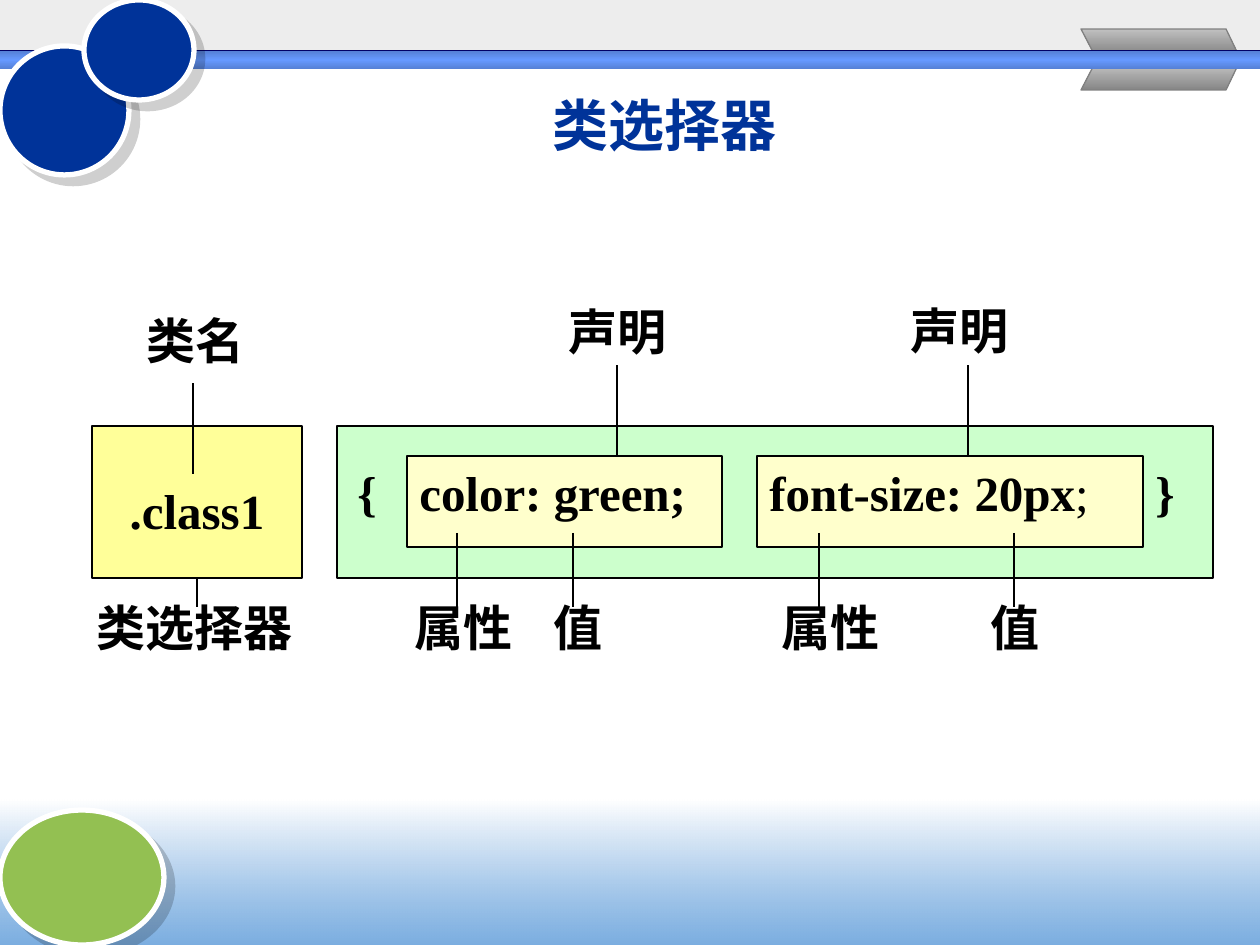
from dataclasses import dataclass
from typing import NamedTuple, Optional

from lxml.etree import SubElement
from pptx import Presentation
from pptx.dml.color import RGBColor
from pptx.enum.shapes import MSO_CONNECTOR as Connector, MSO_SHAPE as Preset
from pptx.enum.text import MSO_ANCHOR as Anchor, PP_ALIGN as Align
from pptx.oxml.ns import qn
from pptx.util import Emu, Pt

PX = 914400 / 126


@dataclass(frozen=True)
class Theme:
    black: str = "000000"
    white: str = "FFFFFF"
    navy: str = "003399"
    deep_navy: str = "000066"
    bar_edge: str = "5580D5"
    bar_middle: str = "6699FF"
    sky: str = "5E9CDA"
    leaf: str = "93C052"
    header: str = "EAEAEA"
    silver: str = "C0C0C0"
    grey: str = "868686"
    grey_line: str = "808080"
    selector: str = "FFFF99"
    block: str = "CCFFCC"
    declaration: str = "FFFFCC"
    title_font: str = "Arial"
    body_font: str = "Times New Roman"
    title_size: int = 32
    body_size: int = 28
    thin: float = 0.75
    thick: int = 3


THEME = Theme()


class Area(NamedTuple):
    left: int
    top: int
    width: int
    height: int


class Stop(NamedTuple):
    percent: int
    color: str
    alpha: int = 100


class Label(NamedTuple):
    text: str
    area: Area


class Segment(NamedTuple):
    x: int
    start: int
    end: int


def px(value: float) -> Emu:
    return Emu(round(value * PX))


def emu_area(area: Area) -> list[Emu]:
    return [px(value) for value in area]


def set_line(shape, color: Optional[str], width: float = THEME.thin) -> None:
    if color is None:
        shape.line.fill.background()
    else:
        shape.line.color.rgb = RGBColor.from_string(color)
        shape.line.width = Pt(width)


def set_alpha(color_element, percent: int) -> None:
    SubElement(color_element, qn("a:alpha")).set("val", str(percent * 1000))


def set_gradient(shape, stops: list[Stop]) -> None:
    shape.fill.gradient()
    shape.fill.gradient_angle = 270
    stop_list = shape._element.spPr.find(".//" + qn("a:gsLst"))
    stop_list.clear()
    for stop in stops:
        entry = SubElement(stop_list, qn("a:gs"), pos=str(stop.percent * 1000))
        color = SubElement(entry, qn("a:srgbClr"), val=stop.color)
        if stop.alpha < 100:
            set_alpha(color, stop.alpha)


def add_preset(page, preset, area: Area, fill: Optional[str] = None,
               line: Optional[str] = None, width: float = THEME.thin):
    shape = page.shapes.add_shape(preset, *emu_area(area))
    shape.shadow.inherit = False
    if fill:
        shape.fill.solid()
        shape.fill.fore_color.rgb = RGBColor.from_string(fill)
    set_line(shape, line, width)
    return shape


def add_disc(page, area: Area, fill: str) -> None:
    disc = add_preset(page, Preset.OVAL, area, fill, THEME.white, THEME.thick)
    effects = disc._element.spPr.find(qn("a:effectLst"))
    shadow = SubElement(effects, qn("a:outerShdw"), blurRad="0",
                        dist=str(Pt(7.1)), dir="2700000", algn="ctr")
    set_alpha(SubElement(shadow, qn("a:srgbClr"), val=THEME.black), 19)


def add_ribbon_half(page, outer: int, inner: int) -> None:
    builder = page.shapes.build_freeform(1226, outer, scale=PX)
    builder.add_line_segments([(1238, inner), (1094, inner), (1081, outer)])
    ribbon = builder.convert_to_shape()
    ribbon.shadow.inherit = False
    set_gradient(ribbon, [Stop(0, THEME.silver), Stop(100, THEME.grey)])
    set_line(ribbon, THEME.grey_line)


def style_span(span, color: str = THEME.black, size: int = THEME.body_size,
               font: str = THEME.body_font, bold: bool = True) -> None:
    span.font.name = font
    span.font.size = Pt(size)
    span.font.bold = bold
    span.font.color.rgb = RGBColor.from_string(color)


def write(shape, text: str, align=Align.LEFT, anchor=Anchor.TOP):
    frame = shape.text_frame
    frame.word_wrap = True
    frame.vertical_anchor = anchor
    frame.text = text
    para = frame.paragraphs[0]
    para.alignment = align
    style_span(para.runs[0])
    return para


def add_label(page, label: Label, align=Align.LEFT, anchor=Anchor.TOP):
    box = page.shapes.add_textbox(*emu_area(label.area))
    return write(box, label.text, align, anchor)


def add_segment(page, segment: Segment):
    connector = page.shapes.add_connector(
        Connector.STRAIGHT, px(segment.x), px(segment.start),
        px(segment.x), px(segment.end))
    set_line(connector, THEME.black)
    SubElement(connector._element.spPr, qn("a:effectLst"))
    return connector


def draw_backdrop(page) -> None:
    header = add_preset(page, Preset.RECTANGLE, Area(0, 0, 1260, 66), THEME.header)
    set_alpha(header._element.spPr.find(".//" + qn("a:srgbClr")), 81)
    footer = add_preset(page, Preset.RECTANGLE, Area(0, 800, 1260, 145))
    set_gradient(footer, [Stop(0, THEME.white), Stop(100, THEME.sky, 81)])
    add_ribbon_half(page, 29, 54)
    add_ribbon_half(page, 90, 65)
    add_disc(page, Area(0, 810, 164, 135), THEME.leaf)
    add_preset(page, Preset.RECTANGLE, Area(0, 50, 1260, 18), THEME.deep_navy)
    bar = add_preset(page, Preset.RECTANGLE, Area(0, 51, 1260, 18))
    set_gradient(bar, [Stop(0, THEME.bar_edge), Stop(50, THEME.bar_middle),
                       Stop(100, THEME.bar_edge)])
    add_disc(page, Area(0, 46, 129, 129), THEME.navy)
    add_disc(page, Area(84, 0, 110, 100), THEME.navy)


def draw_rule(page) -> None:
    selector = add_preset(page, Preset.RECTANGLE, Area(92, 426, 210, 152),
                          THEME.selector, THEME.black)
    write(selector, ".class1", Align.CENTER)
    selector.text_frame.margin_top = px(55)
    add_preset(page, Preset.RECTANGLE, Area(337, 426, 876, 152),
               THEME.block, THEME.black)
    for text, area, ending in (
            ("color: green;", Area(407, 456, 315, 91), ""),
            ("font-size: 20px", Area(757, 456, 386, 91), ";")):
        box = add_preset(page, Preset.RECTANGLE, area, THEME.declaration, THEME.black)
        para = write(box, text)
        if ending:
            span = para.add_run()
            span.text = ending
            style_span(span, bold=False)

    for label in (
            Label("{", Area(345, 456, 35, 91)),
            Label("}", Area(1143, 456, 35, 91)),
            Label("类名", Area(134, 304, 146, 91)),
            Label("声明", Area(556, 295, 144, 91)),
            Label("声明", Area(898, 294, 144, 91)),
            Label("类选择器", Area(84, 591, 276, 91)),
            Label("属性", Area(402, 591, 144, 91)),
            Label("值", Area(541, 591, 144, 91)),
            Label("属性", Area(769, 591, 144, 91)),
            Label("值", Area(978, 591, 144, 91))):
        add_label(page, label)

    add_segment(page, Segment(197, 578, 607)).begin_connect(selector, 2)
    add_segment(page, Segment(193, 474, 383))
    for x in (617, 968):
        add_segment(page, Segment(x, 456, 365))
    for x in (457, 573, 819, 1014):
        add_segment(page, Segment(x, 533, 607))


def main() -> None:
    deck = Presentation()
    deck.slide_width, deck.slide_height = px(1260), px(945)
    page = deck.slides.add_slide(deck.slide_layouts[6])
    draw_backdrop(page)
    title = add_label(page, Label("类选择器", Area(184, 76, 962, 97)),
                      Align.CENTER, Anchor.MIDDLE)
    style_span(title.runs[0], THEME.navy, THEME.title_size, THEME.title_font)
    draw_rule(page)
    deck.save("out.pptx")


if __name__ == "__main__":
    main()
